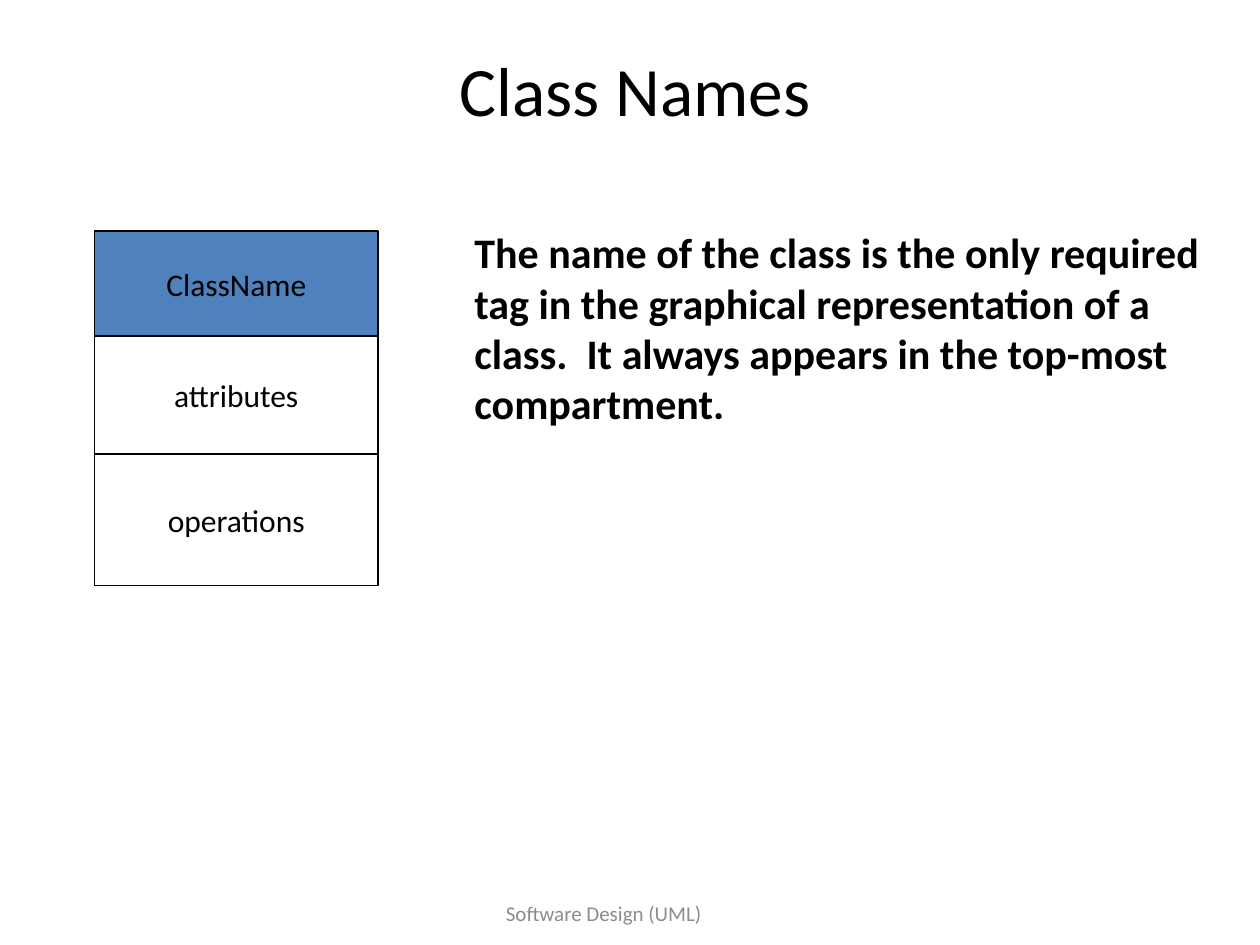
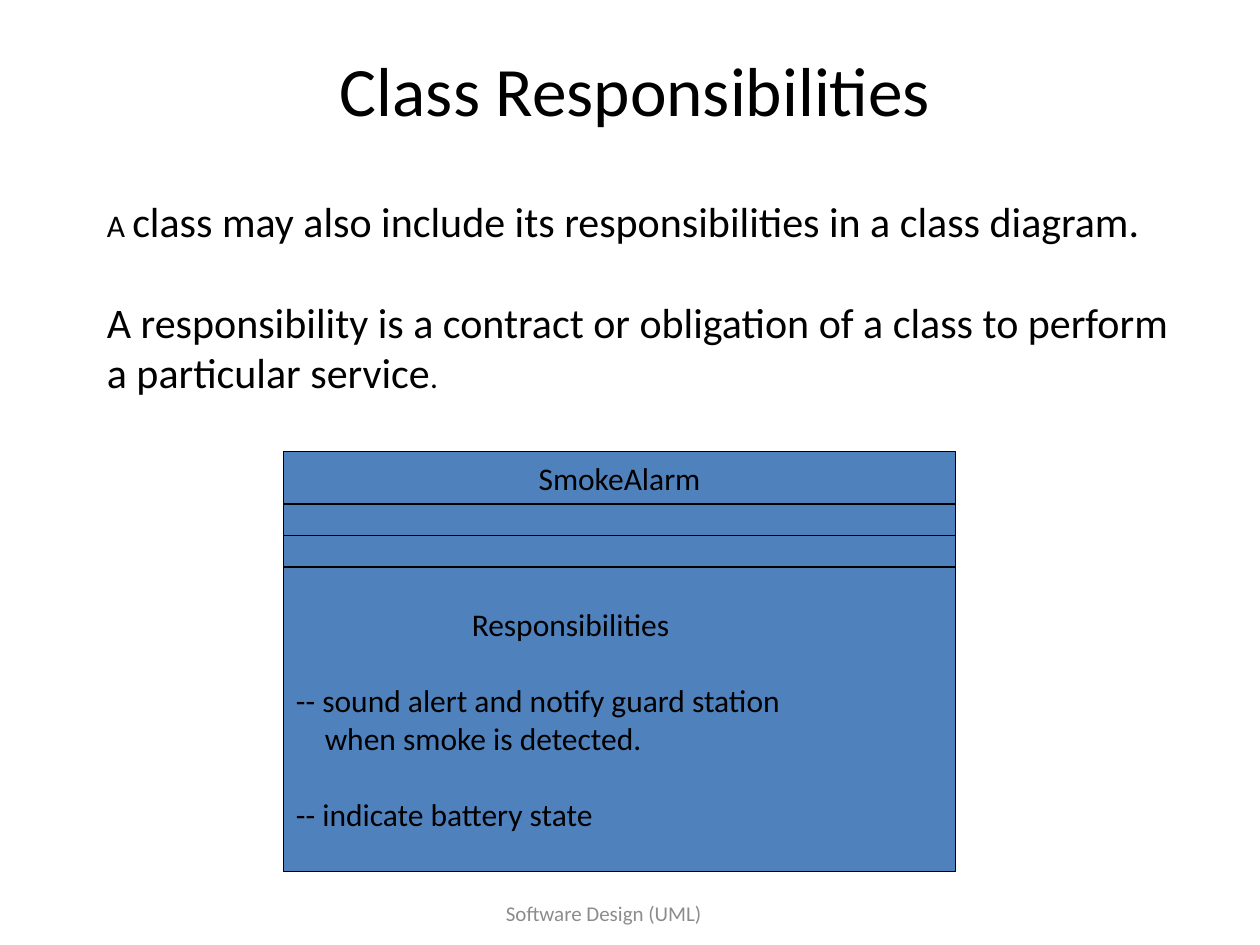
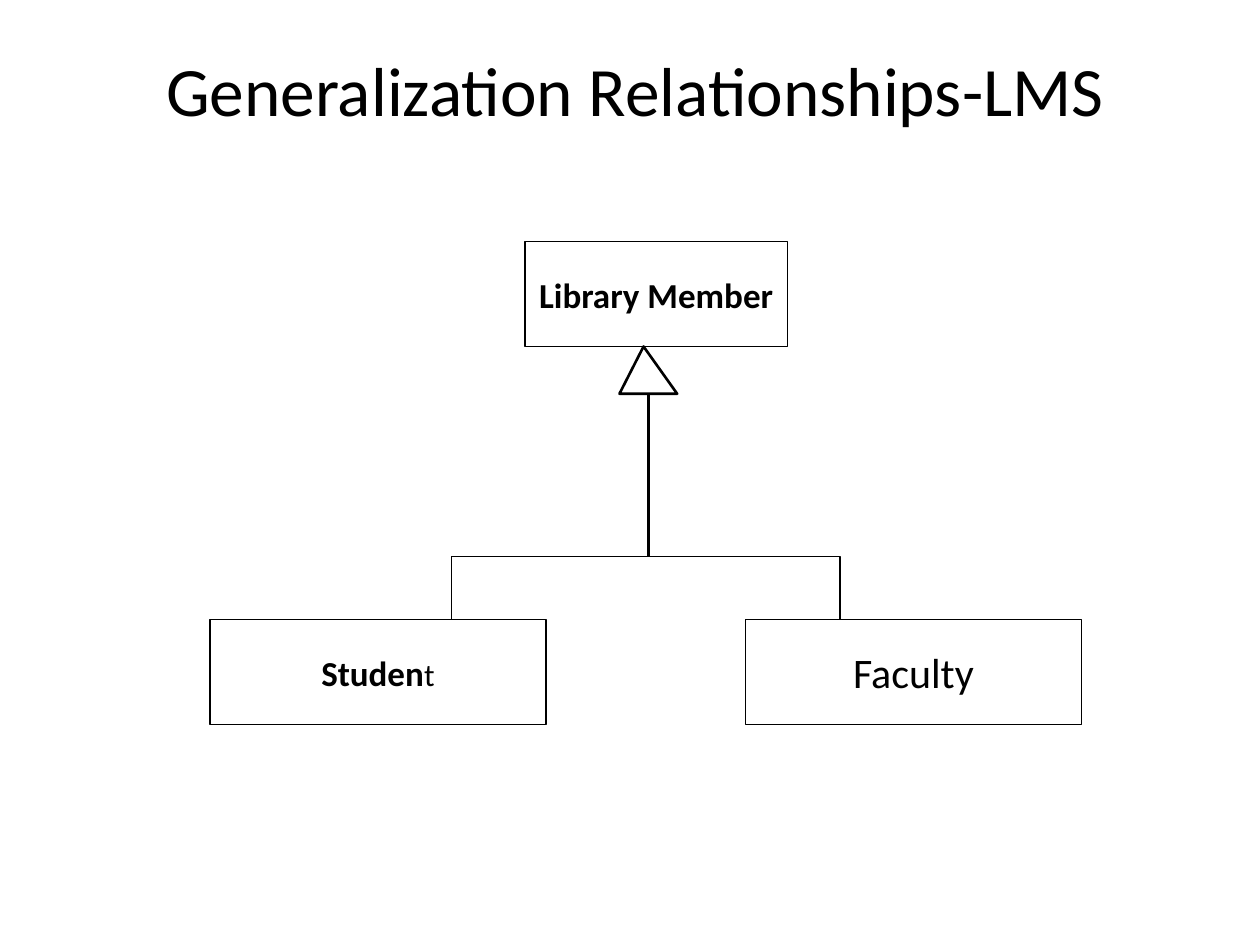
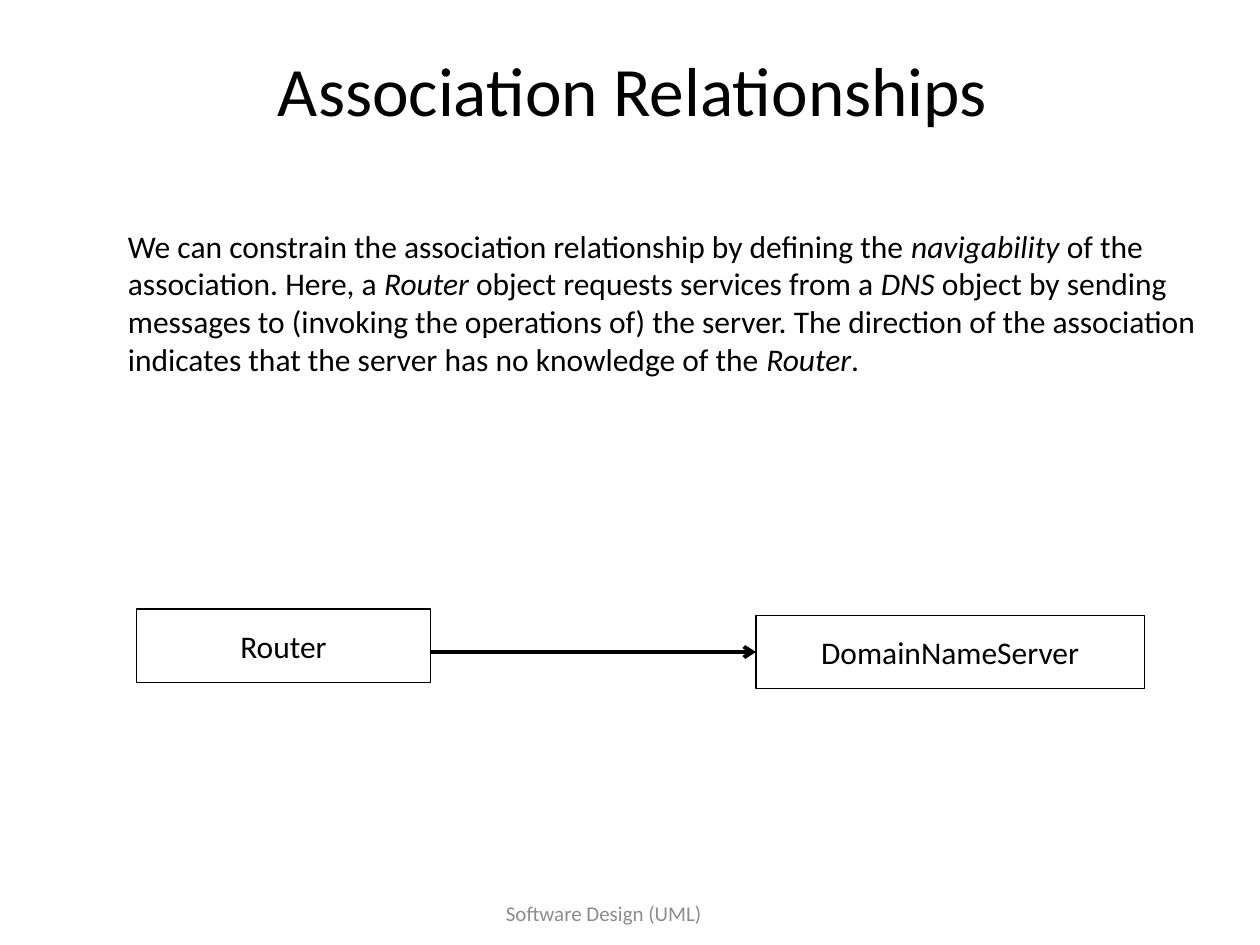
from lxml import etree
from pptx import Presentation
from pptx.dml.color import RGBColor
from pptx.enum.shapes import MSO_CONNECTOR, MSO_SHAPE
from pptx.enum.text import MSO_ANCHOR, MSO_AUTO_SIZE, PP_ALIGN
from pptx.oxml.ns import qn
from pptx.util import Inches, Pt

STRAIGHT = MSO_CONNECTOR.STRAIGHT
RECTANGLE = MSO_SHAPE.RECTANGLE
TOP, MIDDLE = MSO_ANCHOR.TOP, MSO_ANCHOR.MIDDLE
GROW = MSO_AUTO_SIZE.SHAPE_TO_FIT_TEXT
LEFT, CENTER = PP_ALIGN.LEFT, PP_ALIGN.CENTER
LEFT_SIDE = 1

BLACK = RGBColor(0x00, 0x00, 0x00)
WHITE = RGBColor(0xFF, 0xFF, 0xFF)
BLUE = RGBColor(0x4F, 0x81, 0xBD)
GRAY = RGBColor(0x8C, 0x8C, 0x8C)
FONT = "Calibri"

# The slide is a grid of 120 columns by 90 rows of square cells.
WIDTH, HEIGHT = Inches(10), Inches(7.5)
CELL = WIDTH // 120

TITLE_BOX = (9, 5, 103, 7)
FOOTER_BOX = (31, 84, 53, 6)
FOOTER = "Software Design (UML)"


def cells(*counts):
    return [round(count * CELL) for count in counts]


def para(*runs, before=0, indent=0):
    """Describe a paragraph; each run is a string or (string, font values)."""
    return {"runs": runs, "before": before, "indent": indent}


def write(frame, paragraphs, size, align=LEFT, color=BLACK, **font_values):
    for index, spec in enumerate(paragraphs):
        paragraph = frame.paragraphs[0] if index == 0 else frame.add_paragraph()
        paragraph.alignment = align
        if spec["before"]:
            paragraph.space_before = Pt(spec["before"])
        if spec["indent"]:
            margin, = cells(spec["indent"])
            paragraph._p.get_or_add_pPr().set("marL", str(margin))
        for piece in spec["runs"]:
            text, changes = (piece, {}) if isinstance(piece, str) else piece
            run = paragraph.add_run()
            run.text = text
            values = {"name": FONT, "size": size, **font_values, **changes}
            values["size"] = Pt(values["size"])
            for key, value in values.items():
                setattr(run.font, key, value)
            run.font.color.rgb = color


def text_box(slide, box, paragraphs, size, anchor=TOP, grow=False, **style):
    frame = slide.shapes.add_textbox(*cells(*box)).text_frame
    frame.word_wrap = True
    frame.vertical_anchor = anchor
    if grow:
        frame.auto_size = GROW
    write(frame, paragraphs, size, **style)


def outline(shape, weight, fill=None):
    shape.shadow.inherit = False
    if fill is None:
        shape.fill.background()
    else:
        shape.fill.solid()
        shape.fill.fore_color.rgb = fill
    shape.line.color.rgb = BLACK
    shape.line.width = Pt(weight)


def class_box(shapes, box, paragraphs=(), fill=WHITE, size=18, align=CENTER, **style):
    rectangle = shapes.add_shape(RECTANGLE, *cells(*box))
    outline(rectangle, 0.75, fill)
    frame = rectangle.text_frame
    frame.word_wrap = align == LEFT
    frame.vertical_anchor = MIDDLE
    write(frame, paragraphs, size, align, **style)
    return rectangle


def class_stack(slide, corner, width, compartments):
    """Stack compartments of (rows, fill, paragraphs, alignment) as one class."""
    left, top = corner
    group = slide.shapes.add_group_shape()
    for rows, fill, paragraphs, align in compartments:
        class_box(group.shapes, (left, top, width, rows), paragraphs, fill, align=align)
        top += rows


def straight_line(shapes, start, end, weight):
    line = shapes.add_connector(STRAIGHT, *cells(*start, *end))
    line.line.color.rgb = BLACK
    line.line.width = Pt(weight)
    etree.SubElement(line._element.spPr, qn("a:effectLst"))
    return line


def freeform(shapes, points, weight, fill=None, close=False):
    start, *others = [cells(*point) for point in points]
    builder = shapes.build_freeform(*start)
    builder.add_line_segments(others, close=close)
    outline(builder.convert_to_shape(), weight, fill)


def new_slide(deck, title, title_box=TITLE_BOX, footer=True):
    slide = deck.slides.add_slide(deck.slide_layouts[6])
    if footer:
        text_box(slide, FOOTER_BOX, [para(FOOTER)], 12, MIDDLE, align=CENTER, color=GRAY)
    text_box(slide, title_box, [para(title)], 39.6, MIDDLE, align=CENTER)
    return slide


def class_names(deck):
    slide = new_slide(deck, "Class Names")
    class_stack(slide, (9, 22), 27, [
        (10, BLUE, [para("ClassName")], CENTER),
        (11.25, WHITE, [para("attributes")], CENTER),
        (12.5, WHITE, [para("operations")], CENTER),
    ])
    text_box(slide, (44, 21, 72, 20.6), [para(
        "The name of the class is the only required tag in the graphical "
        "representation of a class.  It always appears in the top-most compartment.",
    )], 24, grow=True, bold=True)


def class_responsibilities(deck):
    slide = new_slide(deck, "Class Responsibilities")
    small = {"size": 18}
    text_box(slide, (9, 18, 105, 20.6), [
        para(("A ", small), "class may also include its responsibilities in a class diagram."),
        para("A responsibility is a contract or obligation of a class to perform "
             "a particular service", (".", small), before=29),
    ], 24, grow=True)
    responsibilities = [
        para("Responsibilities", indent=16.75),
        para("-- sound alert and notify guard station", before=22),
        para("when smoke is detected.", indent=2.75),
        para("-- indicate battery state", before=22),
    ]
    class_stack(slide, (27, 43), 64, [
        (5, BLUE, [para("SmokeAlarm")], CENTER),
        (3, BLUE, [], CENTER),
        (3, BLUE, [], CENTER),
        (29, BLUE, responsibilities, LEFT),
    ])


def generalization_arrow(slide, tip, branch_row):
    """Draw the hollow triangle at the tip and its stem down to the branch."""
    column, row = tip
    base = row + 4.5
    stem = column + 0.45
    shapes = slide.shapes.add_group_shape().shapes
    straight_line(shapes, (stem, base), (stem, branch_row), 1.5)
    freeform(shapes, [tip, (column - 2.3, base), (column + 3.2, base)], 1.5, WHITE, close=True)


def generalization(deck):
    slide = new_slide(deck, "Generalization Relationships-LMS", footer=False)
    branch_row, subclass_row = 53, 59
    class_box(slide.shapes, (50, 23, 25, 10), [para("Library Member")], size=20, bold=True)
    student = para(("Studen", {"bold": True}), ("t", {"size": 18}))
    class_box(slide.shapes, (20, subclass_row, 32, 10), [student], size=20)
    generalization_arrow(slide, (61.3, 33), branch_row)
    class_box(slide.shapes, (71, subclass_row, 32, 10), [para("Faculty")], size=24)
    freeform(slide.shapes, [(43, subclass_row), (43, branch_row),
                            (80, branch_row), (80, subclass_row)], 1)


def association(deck):
    slide = new_slide(deck, "Association Relationships ", (8, 5, 106, 7))
    italic = {"italic": True}
    text_box(slide, (11, 21, 106.5, 25.2), [para(
        "We can constrain the association relationship by defining the ",
        ("navigability", italic), " of the association. Here, a ",
        ("Router", italic), " object requests services from a ",
        ("DNS", italic), " object by sending messages to (invoking the operations of) "
        "the server. The direction of the association indicates that the server "
        "has no knowledge of the ", ("Router", italic), ".",
    )], 18, grow=True)
    arrow = straight_line(slide.shapes, (41, 62.1), (72, 62.1), 2.25)
    etree.SubElement(arrow.line._get_or_add_ln(), qn("a:tailEnd"), type="arrow")
    class_box(slide.shapes, (13, 58, 28, 7), [para("Router")])
    server = class_box(slide.shapes, (72, 58.6, 37, 7), [para("DomainNameServer")])
    arrow.end_connect(server, LEFT_SIDE)


def main():
    deck = Presentation()
    deck.slide_width, deck.slide_height = WIDTH, HEIGHT
    for build in (class_names, class_responsibilities, generalization, association):
        build(deck)
    deck.save("out.pptx")


if __name__ == "__main__":
    main()
